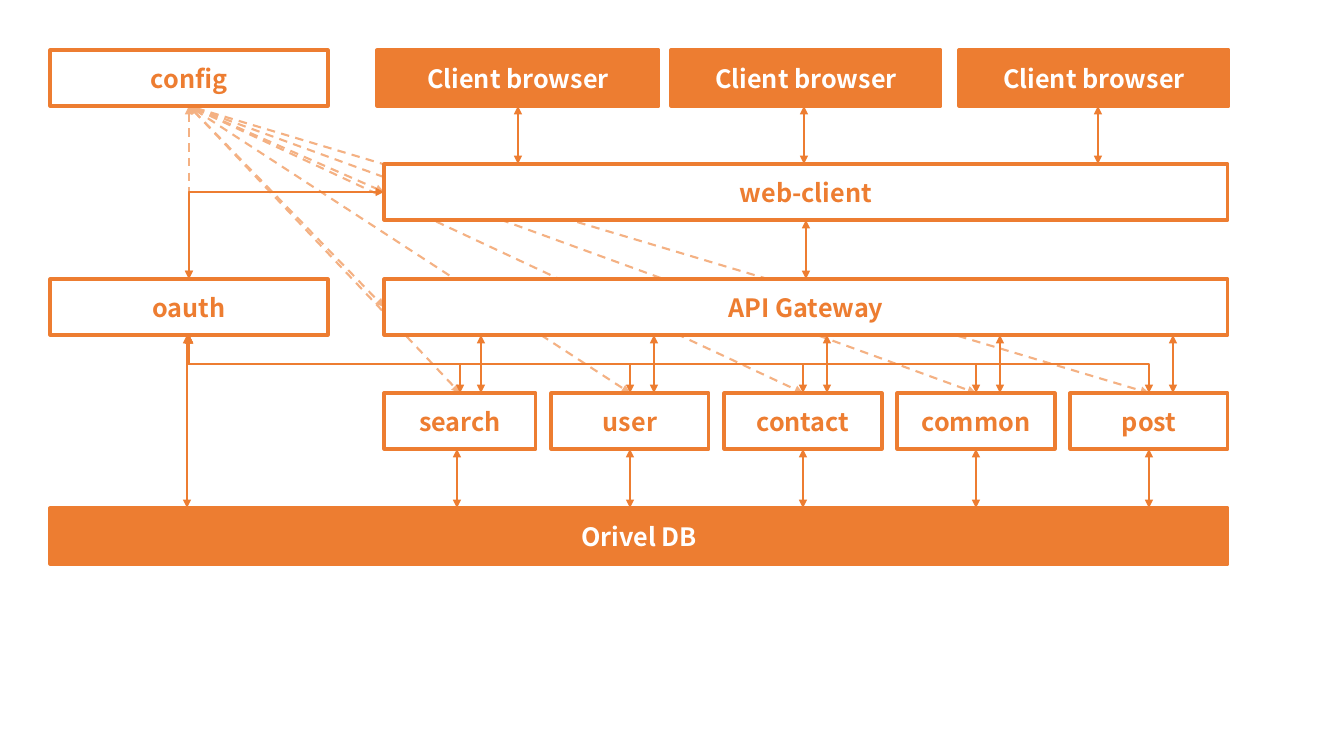
from lxml import etree
from pptx import Presentation
from pptx.dml.color import RGBColor
from pptx.enum import dml, shapes, text
from pptx.oxml.ns import qn
from pptx.util import Emu, Pt

SCALE = 914400 / 100.8
ORANGE, PEACH, WHITE = "ED7D31", "F4B183", "FFFFFF"
FONT = "Noto Sans CJK KR"
BOX_H = 56
LEFT, LEFT_W = 50, 278
MAIN, RIGHT = 384, 1228
HUB = LEFT + LEFT_W // 2
SERVICE_GAP = 173
TOP, WEB, GATEWAY, SERVICE, DB = [50 + round(114.4 * i) for i in range(5)]


def px(*values):
    return [Emu(round(v * SCALE)) for v in values]


def rgb(color):
    return RGBColor.from_string(color)


def write(sp, label, size=18, color=ORANGE, bold=True):
    tf = sp.text_frame
    tf.word_wrap = True
    tf.vertical_anchor = text.MSO_ANCHOR.MIDDLE
    p = tf.paragraphs[0]
    p.alignment = text.PP_ALIGN.CENTER
    r = p.add_run()
    r.text = label
    r.font.name, r.font.size, r.font.bold = FONT, Pt(size), bold
    r.font.color.rgb = rgb(color)


def box(s, label, x, y, w, solid=False):
    sp = s.shapes.add_shape(shapes.MSO_SHAPE.RECTANGLE, *px(x, y, w, BOX_H))
    sp.shadow.inherit = False
    sp.fill.solid()
    sp.fill.fore_color.rgb = rgb(ORANGE if solid else WHITE)
    sp.line.color.rgb = rgb(ORANGE)
    sp.line.width = Pt(2.25)
    write(sp, label, color=WHITE if solid else ORANGE)


def arrow(s, x1, y1, x2, y2, color=ORANGE, dashed=False,
          kind=shapes.MSO_CONNECTOR.STRAIGHT):
    c = s.shapes.add_connector(kind, *px(x1, y1, x2, y2))
    c.line.color.rgb = rgb(color)
    c.line.width = Pt(1.5)
    if dashed:
        c.line.dash_style = dml.MSO_LINE.DASH
    spPr = c._element.spPr
    ln = spPr.find(qn("a:ln"))
    for end in ("a:headEnd", "a:tailEnd"):
        etree.SubElement(ln, qn(end)).set("type", "triangle")
    etree.SubElement(spPr, qn("a:effectLst"))
    return c


def elbow(s, x1, y1, x2, y2):
    """Leave vertically; turn twice going down, once going up."""
    up = y2 < y1
    cx, cy = (x1 + x2) / 2, (y1 + y2) / 2
    half_w = abs(y2 - y1) / 2
    half_h = (x2 - x1) / 2 * (1 if up else -1)
    c = arrow(s, cx + half_w, cy + half_h, cx - half_w, cy - half_h,
              kind=shapes.MSO_CONNECTOR.ELBOW)
    spPr = c._element.spPr
    spPr.find(qn("a:xfrm")).set("rot", str((90 if up else 270) * 60000))
    if up:
        spPr.find(qn("a:prstGeom")).set("prst", "bentConnector2")


def config_links(s, x, y, targets):
    for tx, ty in targets:
        arrow(s, x, y, tx, ty, PEACH, dashed=True)


def clients(s, y):
    for x, w, link in ((377, 282, 518), (671, 270, 804), (959, 270, 1098)):
        box(s, "Client browser", x, y, w, solid=True)
        arrow(s, link, y + BOX_H, link, WEB)


def side_column(s, x, w):
    box(s, "config", x, TOP, w)
    box(s, "oauth", x, GATEWAY, w)


def main_column(s, x, w):
    box(s, "web-client", x, WEB, w)
    box(s, "API Gateway", x, GATEWAY, w)
    arrow(s, x + w / 2, WEB + BOX_H, x + w / 2, GATEWAY)


def services(s, x, y, centers):
    for i, label in enumerate(("search", "user", "contact", "common", "post")):
        left = x if i == 0 else centers[i] - 79
        box(s, label, left, y, 2 * (centers[i] - left))
        pillar = x + 73 + SERVICE_GAP * i
        elbow(s, HUB, GATEWAY + BOX_H, centers[i], y)
        arrow(s, pillar + 24, GATEWAY + BOX_H, pillar + 24, y)
        arrow(s, pillar, y + BOX_H, pillar, DB)


def database(s, x, y, w):
    box(s, "Orivel DB", x, y, w, solid=True)
    arrow(s, HUB - 2, GATEWAY + BOX_H, HUB - 2, y)


prs = Presentation()
prs.slide_width, prs.slide_height = px(1344, 756)
s = prs.slides.add_slide(prs.slide_layouts[6])

# Dashed configuration links, behind the boxes
centers = [460] + [630 + SERVICE_GAP * i for i in range(4)]
web_mid, gateway_mid = WEB + BOX_H / 2, GATEWAY + BOX_H / 2
config_links(s, HUB, TOP + BOX_H,
             [(MAIN, web_mid), (MAIN, gateway_mid), (HUB, GATEWAY)]
             + [(c, SERVICE) for c in centers])

# Layers from the browsers down to the database
main_column(s, MAIN, RIGHT - MAIN)
side_column(s, LEFT, LEFT_W)
clients(s, TOP)
services(s, MAIN, SERVICE, centers)
database(s, LEFT, DB, RIGHT - LEFT)

# Sign-in link
elbow(s, HUB, GATEWAY, MAIN, web_mid)

prs.save("out.pptx")
